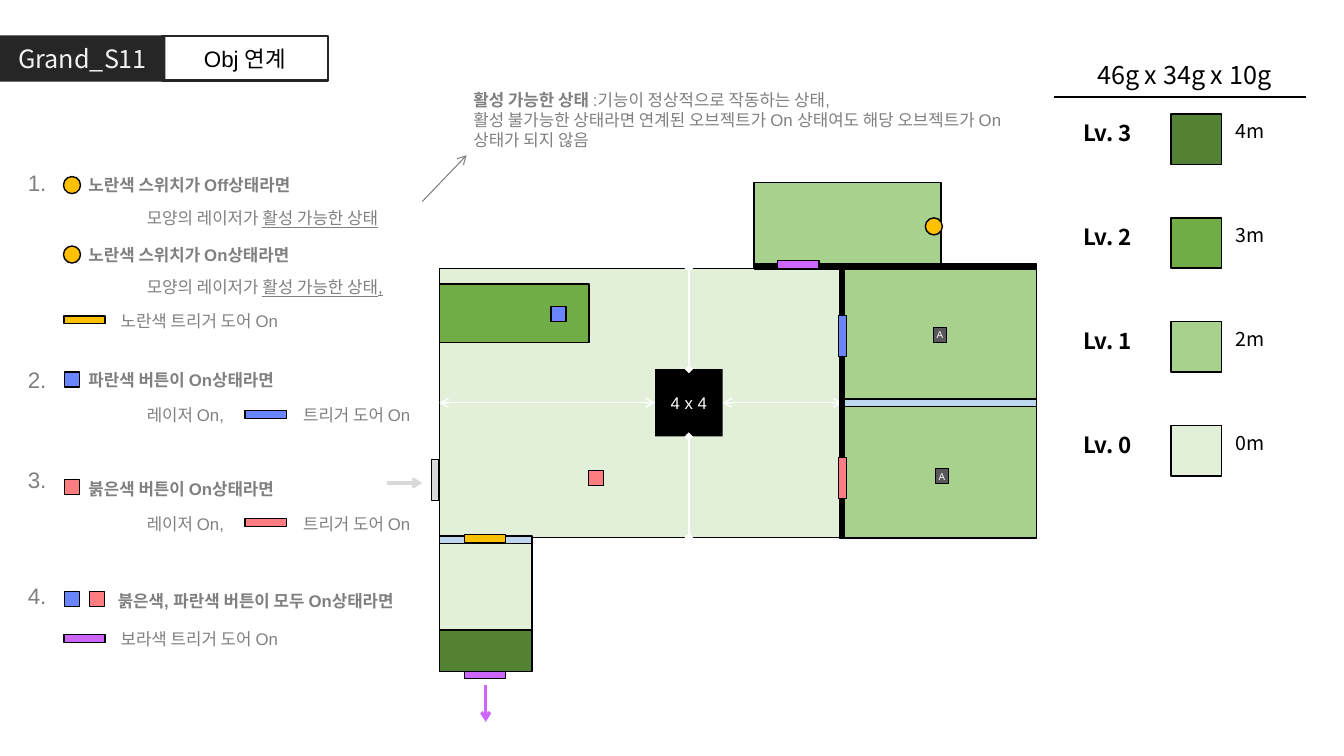
"""Build the Grand_S11 level map slide."""
from typing import NamedTuple, Optional

import pptx
import pptx.dml.color
import pptx.enum.shapes
import pptx.enum.text
import pptx.oxml
import pptx.oxml.ns
import pptx.util

Cm = pptx.util.Cm
Pt = pptx.util.Pt
RGB = pptx.dml.color.RGBColor
KIND = pptx.enum.shapes.MSO_SHAPE
ALIGN = pptx.enum.text.PP_ALIGN
LEFT, MID, RIGHT = ALIGN.LEFT, ALIGN.CENTER, ALIGN.RIGHT

BLACK, WHITE = RGB(0, 0, 0), RGB(255, 255, 255)
DARK, PALE = RGB(0x26, 0x26, 0x26), RGB(0xF2, 0xF2, 0xF2)
GREY, SLATE = RGB(0x80, 0x80, 0x80), RGB(0x59, 0x59, 0x59)
SILVER, GLASS = RGB(0xD9, 0xD9, 0xD9), RGB(0xBD, 0xD7, 0xEE)
BLUE, RED = RGB(0x69, 0x86, 0xFF), RGB(0xFF, 0x7C, 0x80)
GOLD, LILAC = RGB(0xFF, 0xC0, 0), RGB(0xCC, 0x66, 0xFF)
LEVELS = [RGB(0xE2, 0xF0, 0xD9), RGB(0xA9, 0xD1, 0x8E),
          RGB(0x70, 0xAD, 0x47), RGB(0x54, 0x82, 0x35)]
SANS, NOTO = "Arial", "Noto Sans CJK KR"
STEP = 2.62
LONG, THIN, SIDE, DOT = 1.04, 0.2, 0.38, 0.43


class Run(NamedTuple):
    text: str
    bold: bool = False
    under: bool = False


class Box(NamedTuple):
    x: float
    y: float
    w: float
    h: float
    fill: Optional[RGB]
    kind: KIND = KIND.RECTANGLE
    line: Optional[RGB] = BLACK
    thick: float = 1


class Label(NamedTuple):
    x: float
    y: float
    w: float
    h: float
    lines: list[list[Run]]
    size: float = 12
    font: str = SANS
    color: RGB = GREY
    align: ALIGN = LEFT
    tab: float = 0


class Line(NamedTuple):
    x1: float
    y1: float
    x2: float
    y2: float
    color: RGB
    thick: float = 1
    head: str = ""
    tail: str = "arrow"


def bar(x: float, y: float, fill: RGB) -> Box:
    return Box(x, y, LONG, THIN, fill)


def door(x: float, y: float, fill: RGB) -> Box:
    return Box(x, y, THIN, LONG, fill)


def knob(x: float, y: float, fill: RGB) -> Box:
    return Box(x, y, SIDE, SIDE, fill)


def lamp(x: float, y: float) -> Box:
    return Box(x, y, DOT, DOT, GOLD, KIND.OVAL)


def row(x: float, y: float, *runs: Run, tab: float = 0) -> Label:
    return Label(x, y, 10.41, 0.76, [list(runs)], tab=tab)


def write(frame, lines: list[list[Run]], size: float, font: str,
          color: RGB, align: ALIGN, tab: float = 0) -> None:
    for i, runs in enumerate(lines):
        para = frame.add_paragraph() if i else frame.paragraphs[0]
        para.alignment = align
        if tab:
            props = para._p.get_or_add_pPr()
            stops = pptx.oxml.ns.qn("a:tabLst")
            stop = props.makeelement(stops, {})
            mark = props.makeelement(pptx.oxml.ns.qn("a:tab"),
                                     {"pos": str(Cm(tab)), "algn": "l"})
            stop.append(mark)
            props.append(stop)
        for item in runs:
            run = para.add_run()
            run.text = item.text
            run.font.size = Pt(size)
            run.font.name = font
            run.font.bold = item.bold
            run.font.underline = item.under
            run.font.color.rgb = color
            east = pptx.oxml.ns.qn("a:ea")
            face = run._r.rPr.makeelement(east, {"typeface": NOTO})
            run._r.rPr.append(face)


def draw(slide, box: Box, text: str = "", size: float = 12,
         font: str = SANS, color: RGB = WHITE):
    shape = slide.shapes.add_shape(
        box.kind, Cm(box.x), Cm(box.y), Cm(box.w), Cm(box.h))
    shape.shadow.inherit = False
    if box.fill is None:
        shape.fill.background()
    else:
        shape.fill.solid()
        shape.fill.fore_color.rgb = box.fill
    if box.line is None:
        shape.line.fill.background()
    else:
        shape.line.color.rgb = box.line
        shape.line.width = Pt(box.thick)
    if text:
        frame = shape.text_frame
        frame.word_wrap = False
        frame.margin_left = frame.margin_right = 0
        frame.margin_top = frame.margin_bottom = 0
        frame.vertical_anchor = pptx.enum.text.MSO_ANCHOR.MIDDLE
        write(frame, [[Run(text)]], size, font, color, MID)
    return shape


def place(slide, tag: Label) -> None:
    box = slide.shapes.add_textbox(Cm(tag.x), Cm(tag.y), Cm(tag.w), Cm(tag.h))
    box.text_frame.word_wrap = True
    write(box.text_frame, tag.lines, tag.size, tag.font, tag.color,
          tag.align, tag.tab)


def link(slide, line: Line):
    join = slide.shapes.add_connector(
        pptx.enum.shapes.MSO_CONNECTOR.STRAIGHT,
        Cm(line.x1), Cm(line.y1), Cm(line.x2), Cm(line.y2))
    join.line.color.rgb = line.color
    join.line.width = Pt(line.thick)
    edge = join.line._get_or_add_ln()
    for end, name in (("a:headEnd", line.head), ("a:tailEnd", line.tail)):
        if name:
            edge.append(edge.makeelement(pptx.oxml.ns.qn(end), {"type": name}))
    props = join._element.spPr
    props.append(props.makeelement(pptx.oxml.ns.qn("a:effectLst"), {}))
    return join


def draw_key(slide) -> None:
    link(slide, Line(26.57, 2.44, 32.92, 2.44, BLACK, tail=""))
    for i, fill in enumerate(LEVELS):
        y = 2.87 + (3 - i) * STEP
        draw(slide, Box(29.51, y, 1.27, 1.27, fill))
        deep = f"{i + 1 if i else 0}m"
        place(slide, Label(30.89, y, 1.8, 0.84, [[Run(deep)]], 14, NOTO, BLACK))
        place(slide, Label(27.05, y, 2.72, 0.91, [[Run(f"Lv. {i}", True)]],
                           16, NOTO, BLACK))
    place(slide, Label(27.05, 1.37, 5.59, 1.02, [[Run("46g x 34g x 10g")]],
                       18, NOTO, BLACK, MID))


def draw_map(slide) -> None:
    draw(slide, Box(19, 4.6, 4.72, 2.16, LEVELS[1]))
    hall = draw(slide, Box(11.07, 6.76, 10.16, 6.78, LEVELS[0]))
    core = draw(slide, Box(16.51, 9.3, 1.7, 1.7, BLACK, line=None), "4 x 4")
    up = link(slide, Line(17.36, 6.76, 17.36, 9.3, WHITE, 1, "diamond", "diamond"))
    up.end_connect(core, 0)
    down = link(slide, Line(17.36, 11, 17.36, 13.54, WHITE, 1, "diamond", "diamond"))
    down.begin_connect(core, 2)
    west = link(slide, Line(11.07, 10.15, 16.51, 10.15, WHITE, 1, "arrow"))
    west.begin_connect(hall, 1)
    west.end_connect(core, 1)
    east = link(slide, Line(18.21, 10.15, 21.23, 10.15, WHITE, 1, "arrow"))
    east.begin_connect(core, 3)
    east.end_connect(hall, 3)
    for box in (
            Box(21.23, 6.76, 4.9, 3.4, LEVELS[1]),
            Box(11.07, 7.16, 3.78, 1.47, LEVELS[2]),
            knob(14.83, 11.86, RED), knob(13.89, 7.72, BLUE),
            Box(21.23, 10.16, 4.9, 3.4, LEVELS[1]),
            Box(19.02, 6.65, 7.11, 0.13, BLACK),
            Box(21.23, 10.06, 4.9, 0.18, GLASS),
            bar(19.6, 6.57, LILAC), lamp(23.32, 5.49),
            door(10.87, 11.58, SILVER), bar(11.7, 16.9, LILAC),
            Box(11.07, 13.54, 2.34, 2.34, LEVELS[0]),
            Box(11.07, 15.88, 2.34, 1.04, LEVELS[3]),
            Box(11.07, 13.51, 2.34, 0.18, GLASS),
            bar(11.7, 13.47, GOLD), Box(21.16, 6.78, 0.13, 6.78, BLACK),
            door(21.13, 7.95, BLUE), door(21.13, 11.53, RED)):
        draw(slide, box)
    for x, y in ((23.52, 8.25), (23.57, 11.81)):
        draw(slide, Box(x, y, 0.33, SIDE, SLATE), "A", 7)
    link(slide, Line(9.75, 12.17, 10.64, 12.17, SILVER, 2.25))
    link(slide, Line(12.24, 17.27, 12.24, 18.19, LILAC, 2.25))


def draw_rules(slide) -> None:
    for box in (lamp(1.6, 4.45), lamp(1.6, 6.2), bar(1.61, 7.96, GOLD),
                knob(1.63, 9.37, BLUE), bar(6.18, 10.35, BLUE),
                knob(1.63, 12.09, RED), bar(6.18, 13.07, RED),
                knob(1.63, 14.91, BLUE), knob(2.26, 14.91, RED),
                bar(1.61, 15.99, LILAC)):
        draw(slide, box)
    beam, fire = Run("모양의 레이저가 "), Run("레이저 On,\t트리거 도어 On")
    for tag in (
            row(1.98, 4.29, Run("노란색 스위치가 Off상태라면", True)),
            row(3.45, 5.11, beam, Run("활성 가능한 상태", under=True)),
            row(1.98, 6.05, Run("노란색 스위치가 On상태라면", True)),
            row(3.45, 6.86, beam, Run("활성 가능한 상태,", under=True)),
            row(2.79, 7.7, Run("노란색 트리거 도어 On")),
            row(1.98, 9.19, Run("파란색 버튼이 On상태라면", True)),
            row(3.45, 10.08, fire, tab=3.94),
            row(1.98, 11.94, Run("붉은색 버튼이 On상태라면", True)),
            row(3.45, 12.83, fire, tab=3.94),
            row(2.72, 14.76, Run("붉은색, 파란색 버튼이 모두 On상태라면", True)),
            row(2.79, 15.72, Run("보라색 트리거 도어 On"))):
        place(slide, tag)
    for i, y in enumerate((4.14, 9.09, 11.63, 14.55), 1):
        place(slide, Label(0.15, y, 1.27, 0.94, [[Run(f"{i}.")]], 16, align=RIGHT))
    link(slide, Line(10.64, 5.08, 11.76, 3.91, GREY, 0.75))
    place(slide, Label(11.68, 2.13, 14.3, 1.8, [
        [Run("활성 가능한 상태 ", True), Run(":기능이 정상적으로 작동하는 상태,")],
        [Run("활성 불가능한 상태라면 연계된 오브젝트가 On 상태여도 "
             "해당 오브젝트가 On 상태가 되지 않음")]]))


def main() -> None:
    deck = pptx.Presentation()
    deck.slide_width, deck.slide_height = Cm(33.87), Cm(19.05)
    slide = deck.slides.add_slide(deck.slide_layouts[6])
    draw_key(slide)
    draw(slide, Box(0, 0.89, 4.17, 1.17, DARK, line=None),
         "Grand_S11", 18, NOTO, PALE)
    draw(slide, Box(4.09, 0.91, 4.17, 1.12, None, line=DARK, thick=1.5),
         "Obj 연계", 16, SANS, BLACK)
    draw_map(slide)
    draw_rules(slide)
    deck.save("out.pptx")


if __name__ == "__main__":
    main()
